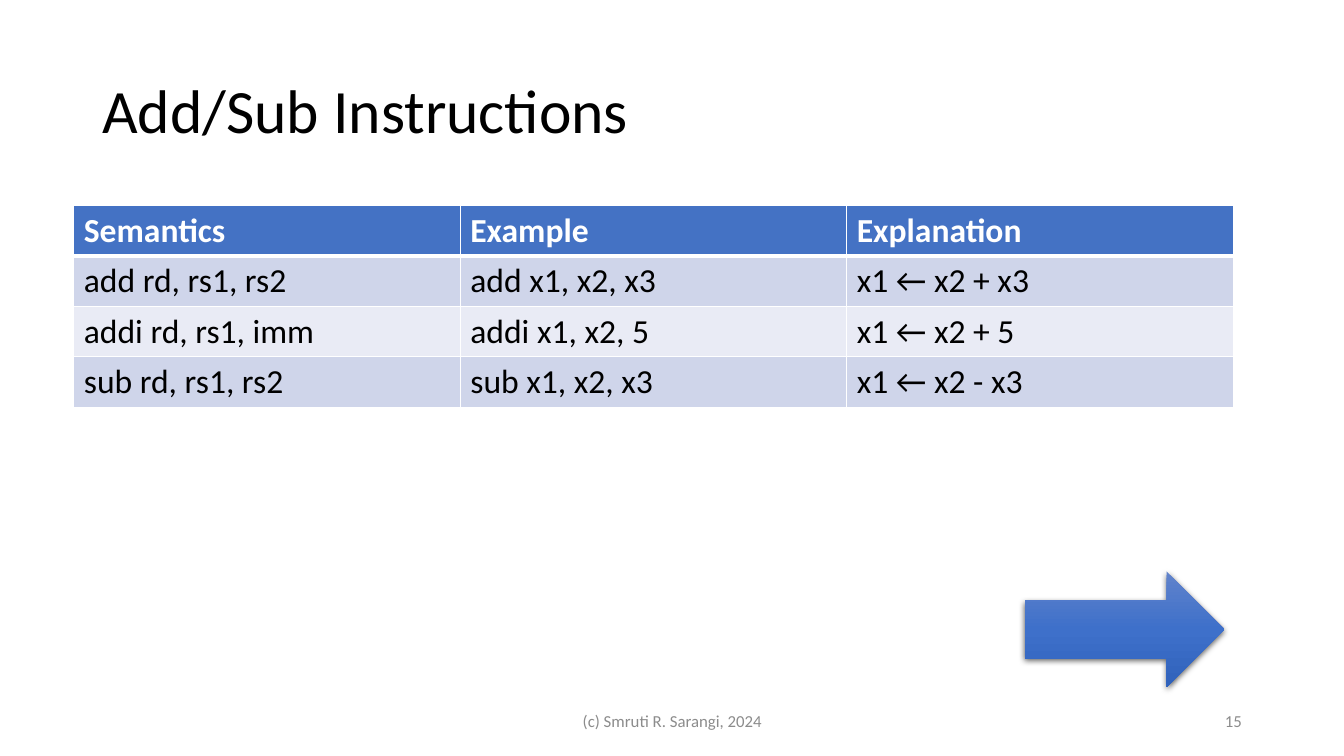
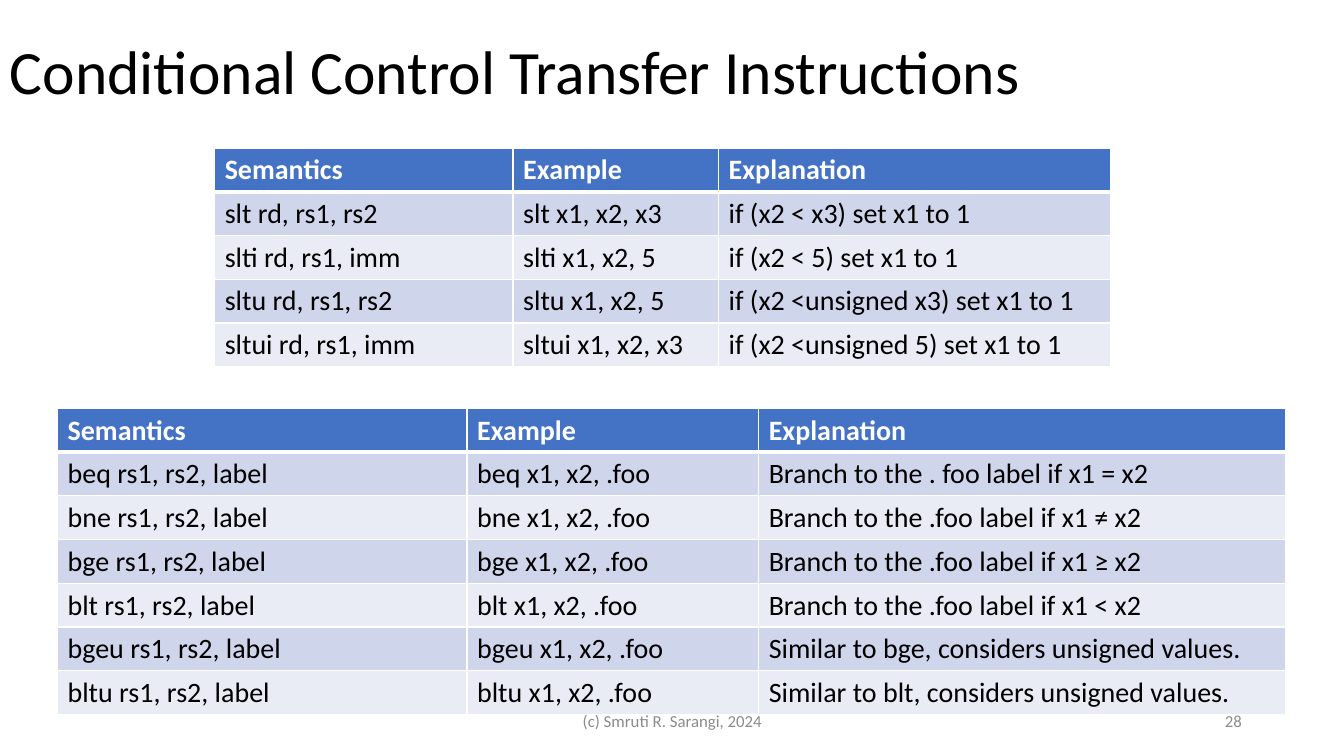
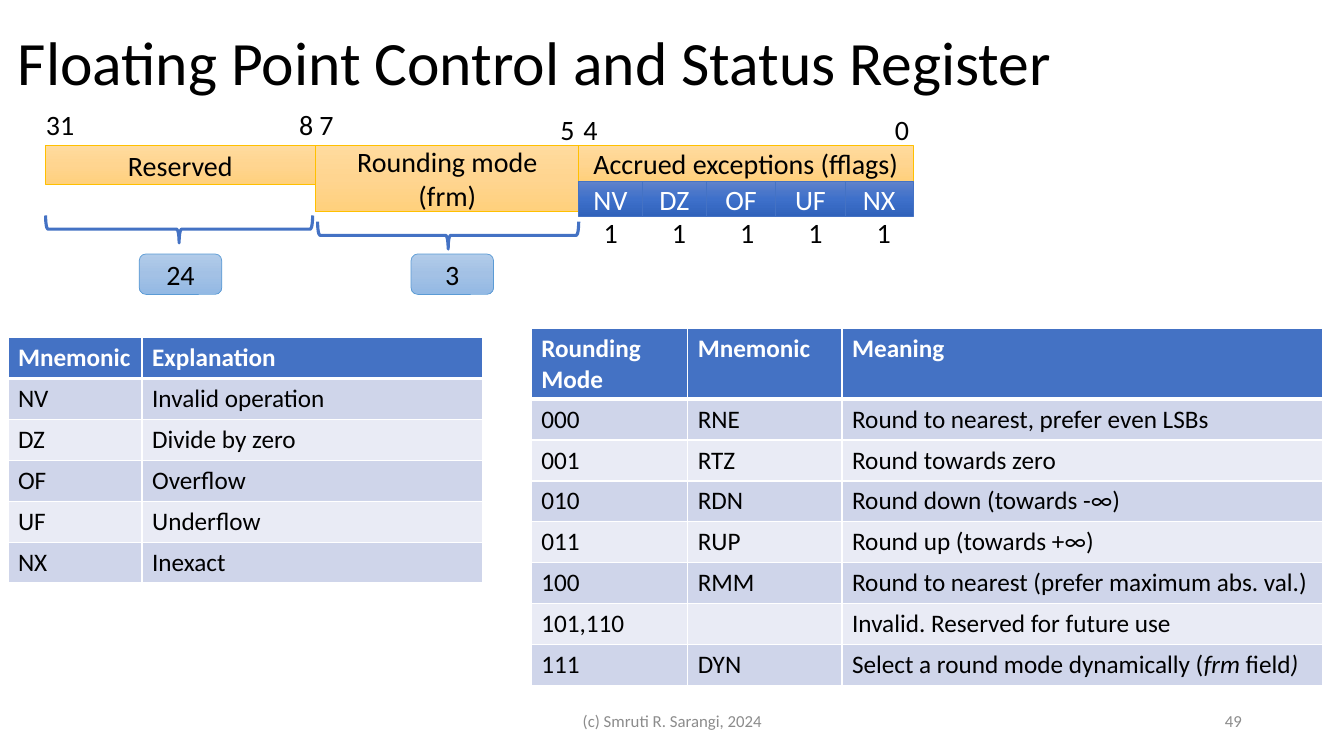
"""Three lecture slides on processor instructions and the floating point register."""
from itertools import accumulate

from lxml import etree
from pptx import Presentation
from pptx import util as u
from pptx.dml import color
from pptx.enum import shapes, text
from pptx.oxml import ns

FONT = "Calibri"
BLACK, WHITE, GREY = "000000", "FFFFFF", "8C8C8C"
BLUE = "4472C4"
BANDS = ("CFD5EA", "E9EBF5")
DEEP = ("6183CB", "3E70CA", "3062BB")
GOLD = ("FFDB9E", "FFD590", "FFD07C")
PALE = ("B1CBE9", "A3C1E5", "93B9E4")
ROWS = {24: 1.27, 20: 1.1, 18: 1.03}
HEAD = ("Semantics", "Example", "Explanation")
CREDIT = "(c) Smruti R. Sarangi, 2024"
KIND = shapes.MSO_SHAPE
LEFT, MID, RIGHT = text.PP_ALIGN.LEFT, text.PP_ALIGN.CENTER, text.PP_ALIGN.RIGHT
TOP, CENTRE = text.MSO_ANCHOR.TOP, text.MSO_ANCHOR.MIDDLE

SUB = ("unsigned", {"base": "-25000"})
ADDS = [
    HEAD,
    ("add rd, rs1, rs2", "add x1, x2, x3", "x1 ← x2 + x3"),
    ("addi rd, rs1, imm", "addi x1, x2, 5", "x1 ← x2 + 5"),
    ("sub rd, rs1, rs2", "sub x1, x2, x3", "x1 ← x2 - x3"),
]
TESTS = [
    HEAD,
    ("slt rd, rs1, rs2", "slt x1, x2, x3", "if (x2 < x3) set x1 to 1"),
    ("slti rd, rs1, imm", "slti x1, x2, 5", "if (x2 < 5) set x1 to 1"),
    ("sltu rd, rs1, rs2", "sltu x1, x2, 5",
     [("if (x2 <", {}), SUB, (" x3) set x1 to 1", {})]),
    ("sltui rd, rs1, imm", "sltui x1, x2, x3",
     [("if (x2 <", {}), SUB, (" 5) set x1 to 1", {})]),
]
JUMPS = [HEAD] + [
    (f"{op} rs1, rs2, label", f"{op} x1, x2, .foo", note)
    for op, note in (
        ("beq", "Branch to the . foo label if x1 = x2"),
        ("bne", "Branch to the .foo label if x1 ≠ x2"),
        ("bge", "Branch to the .foo label if x1 ≥ x2"),
        ("blt", "Branch to the .foo label if x1 < x2"),
        ("bgeu", "Similar to bge, considers unsigned values."),
        ("bltu", "Similar to blt, considers unsigned values."),
    )
]
FLAGS = [
    ("Mnemonic", "Explanation"),
    ("NV", "Invalid operation"),
    ("DZ", "Divide by zero"),
    ("OF", "Overflow"),
    ("UF", "Underflow"),
    ("NX", "Inexact"),
]
MODES = [
    ("Rounding Mode", "Mnemonic", "Meaning"),
    ("000", "RNE", "Round to nearest, prefer even LSBs"),
    ("001", "RTZ", "Round towards zero"),
    ("010", "RDN", "Round down (towards -∞)"),
    ("011", "RUP", "Round up (towards +∞)"),
    ("100", "RMM", "Round to nearest (prefer maximum abs. val.)"),
    ("101,110", "", "Invalid. Reserved for future use"),
    ("111", "DYN", [("Select a round mode dynamically (", {}), ("frm ", {"i": "1"}),
                    ("field", {}), (")", {"i": "1"})]),
]


def rgb(code):
    """Turn a hex string into a colour."""
    return color.RGBColor.from_string(code)


def area(*nums):
    """Turn numbers in centimetres into lengths."""
    return [u.Cm(n) for n in nums]


def write(frame, words, size, ink=BLACK, align=LEFT, anchor=TOP, bold=False):
    """Fill a text frame with a string or with (text, attributes) runs."""
    frame.word_wrap = True
    frame.vertical_anchor = anchor
    para = frame.paragraphs[0]
    para.alignment = align
    if isinstance(words, str):
        para.text = words
    else:
        for part, marks in words:
            run = para.add_run()
            run.text = part
            for key, val in marks.items():
                run.font._element.set(key, val)
    for run in para.runs:
        font = run.font
        font.name, font.size, font.bold = FONT, u.Pt(size), bold
        font.color.rgb = rgb(ink)
    return para


def label(slide, box, words, size, **look):
    """Add a text box."""
    return write(slide.shapes.add_textbox(*area(*box)).text_frame, words, size, **look)


def block(slide, kind, box, tones=None, edge=None, width=0.5, words="", ink=BLACK):
    """Add a preset shape with an optional gradient, outline and text."""
    shape = slide.shapes.add_shape(kind, *area(*box))
    shape.shadow.inherit = False
    if tones:
        shape.fill.gradient()
        shape.fill.gradient_angle = 270
        stops = shape._element.spPr.find(".//" + ns.qn("a:gsLst"))
        stops.clear()
        for place, tone in enumerate(tones):
            stop = etree.SubElement(stops, ns.qn("a:gs"), pos=str(place * 50000))
            etree.SubElement(stop, ns.qn("a:srgbClr"), val=tone)
    else:
        shape.fill.background()
    if edge:
        shape.line.color.rgb = rgb(edge)
        shape.line.width = u.Pt(width)
    else:
        shape.line.fill.background()
    if words:
        write(shape.text_frame, words, 20, ink, MID, CENTRE)
    return shape


def shade(shape):
    """Cast a soft shadow below a shape."""
    effect = shape._element.spPr.find(ns.qn("a:effectLst"))
    cast = etree.SubElement(effect, ns.qn("a:outerShdw"), blurRad=str(u.Pt(4.5)),
                            dist=str(u.Pt(1.5)), dir="5400000", rotWithShape="0")
    tint = etree.SubElement(cast, ns.qn("a:srgbClr"), val=BLACK)
    etree.SubElement(tint, ns.qn("a:alpha"), val="63000")


def rule(cell, top, base):
    """Draw the white borders of a cell."""
    props = cell._tc.get_or_add_tcPr()
    for spot, (side, width) in enumerate(zip("LRTB", (1, 1, top, base))):
        line = etree.Element(ns.qn("a:ln" + side), w=str(u.Pt(width)))
        fill = etree.SubElement(line, ns.qn("a:solidFill"))
        etree.SubElement(fill, ns.qn("a:srgbClr"), val=WHITE)
        props.insert(spot, line)


def grid(slide, left, top, cols, rows, size):
    """Add a banded table with a blue header row."""
    high = ROWS[size]
    box = area(left, top, sum(cols), high * len(rows))
    table = slide.shapes.add_table(len(rows), len(cols), *box).table
    for col, wide in zip(table.columns, cols):
        col.width = u.Cm(wide)
    for r, row in enumerate(rows):
        table.rows[r].height = u.Cm(high)
        for c, words in enumerate(row):
            cell = table.cell(r, c)
            cell.fill.solid()
            cell.fill.fore_color.rgb = rgb(BANDS[(r - 1) % 2] if r else BLUE)
            rule(cell, 3 if r == 1 else 1, 1 if r else 3)
            write(cell.text_frame, words, size, BLACK if r else WHITE, bold=not r)


def page(deck, title, left, top, number):
    """Start a slide with its title, credit and page number."""
    slide = deck.slides.add_slide(deck.slide_layouts[6])
    para = label(slide, (left, top, 29.21, 3.68), title, 44, anchor=CENTRE)
    para.line_spacing = 0.9
    foot = {"ink": GREY, "anchor": CENTRE}
    label(slide, (23.93, 17.65, 7.62, 1.01), str(number), 12, align=RIGHT, **foot)
    label(slide, (11.23, 17.65, 11.43, 1.01), CREDIT, 12, align=MID, **foot)
    return slide


def field(slide):
    """Draw the bit fields of the register."""
    for left, wide, high, words in (
        (1.14, 6.81, 0.99, "Reserved"),
        (7.95, 6.65, 1.68, "Rounding mode (frm)"),
        (14.58, 8.43, 0.9, "Accrued exceptions (fflags)"),
    ):
        block(slide, KIND.RECTANGLE, (left, 3.66, wide, high), GOLD, "FFC000", words=words)
    for left, top, wide, bit in (
        (0.91, 2.59, 1.42, "31"), (7.29, 2.59, 0.71, "8"), (7.8, 2.59, 0.71, "7"),
        (13.87, 2.72, 0.71, "5"), (14.45, 2.72, 0.71, "4"), (22.3, 2.72, 0.71, "0"),
    ):
        label(slide, (left, top, wide, 1.11), bit, 20)
    wides = (1.61, 1.61, 1.75, 1.75, 1.71)
    lefts = accumulate(wides[:-1], initial=14.58)
    for n, (left, wide) in enumerate(zip(lefts, wides)):
        block(slide, KIND.RECTANGLE, (left, 4.56, wide, 0.9), DEEP, BLUE,
              words=FLAGS[n + 1][0], ink=WHITE)
        label(slide, (14.96 + n * 1.72, 5.31, 1.14, 1.11), "1", 20)
    for left, top, high, spot, count in (
        (4.17, 2.41, 6.73, 3.51, "24"), (10.95, 2.64, 6.58, 10.36, "3"),
    ):
        brace = block(slide, KIND.LEFT_BRACE, (left, top, 0.69, high), edge=BLUE, width=2.25)
        brace.rotation = 270
        block(slide, KIND.ROUNDED_RECTANGLE, (spot, 6.4, 2.08, 1.02), PALE, "5B9BD5",
              words=count)


def main():
    """Build and save the slides."""
    deck = Presentation()
    deck.slide_width, deck.slide_height = area(33.87, 19.05)

    slide = page(deck, "Add/Sub Instructions", 2.33, 1.01, 15)
    grid(slide, 1.86, 5.18, (9.74, 9.74, 9.74), ADDS, 24)
    shade(block(slide, KIND.RIGHT_ARROW, (25.83, 14.4, 5.03, 2.92), DEEP))

    slide = page(deck, "Conditional Control Transfer Instructions", 0, 0.05, 28)
    grid(slide, 1.45, 10.29, (10.32, 7.35, 13.29), JUMPS, 20)
    grid(slide, 5.41, 3.73, (7.52, 5.18, 9.88), TESTS, 20)

    slide = page(deck, "Floating Point Control and Status Register", 0.2, -0.2, 49)
    field(slide)
    grid(slide, 0.2, 8.51, (3.38, 8.59), FLAGS, 18)
    grid(slide, 13.39, 8.28, (3.94, 3.89, 12.12), MODES, 18)

    deck.save("out.pptx")


if __name__ == "__main__":
    main()
